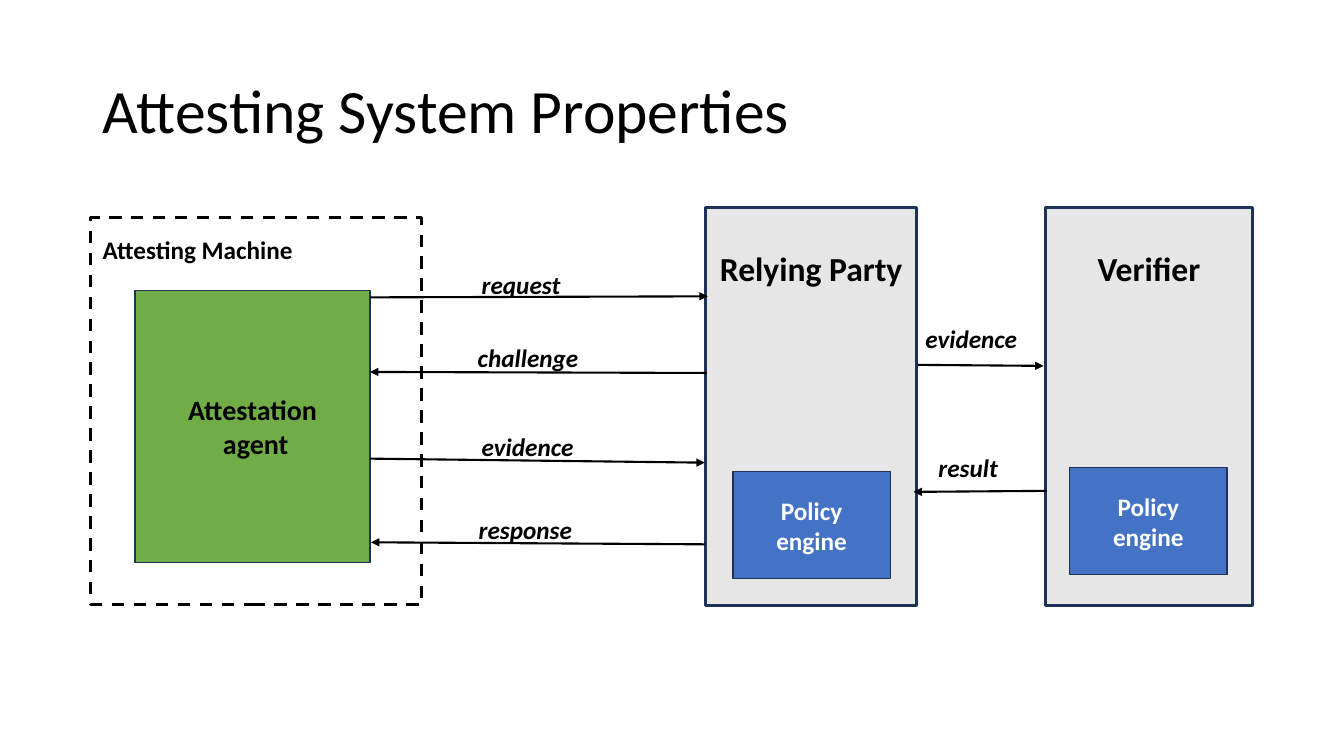
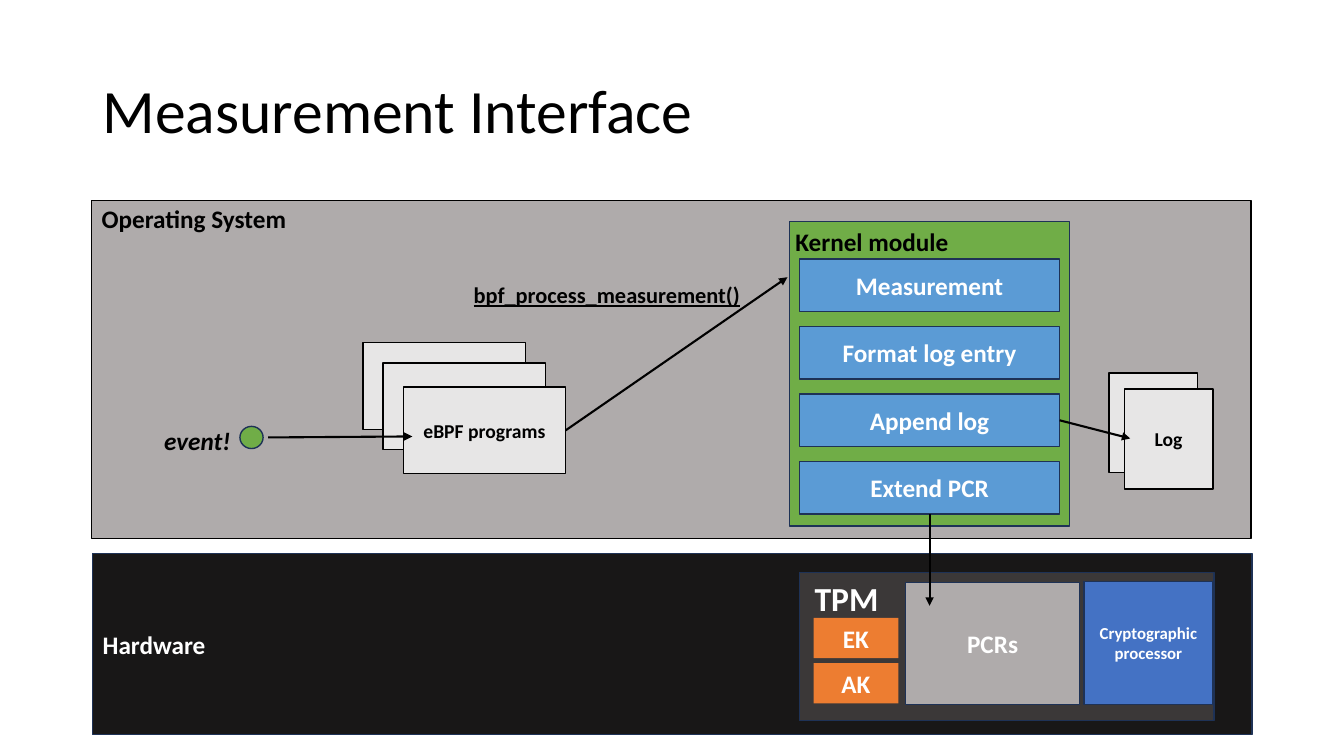
from dataclasses import dataclass
from typing import Optional

from lxml import etree
from pptx import Presentation
from pptx import util as u
from pptx.dml.color import RGBColor
from pptx.enum import dml, shapes, text
from pptx.oxml.ns import qn
from pptx.shapes.autoshape import Shape
from pptx.shapes.connector import Connector
from pptx.slide import Slide

PX = 9144  # EMU per px, 100 px to the inch
FONT = "Calibri"
RIGHT_SIDE, BOTTOM_SIDE = 3, 2

BLACK = RGBColor(0x00, 0x00, 0x00)
WHITE = RGBColor(0xFF, 0xFF, 0xFF)
NAVY = RGBColor(0x1E, 0x32, 0x56)
GREEN = RGBColor(0x70, 0xAD, 0x47)
BLUE = RGBColor(0x44, 0x72, 0xC4)
SKY = RGBColor(0x5B, 0x9B, 0xD5)
ORANGE = RGBColor(0xED, 0x7D, 0x31)
PALE = RGBColor(0xE7, 0xE6, 0xE6)
GREY = RGBColor(0xAF, 0xAB, 0xAB)
CHARCOAL = RGBColor(0x3B, 0x38, 0x38)
INK = RGBColor(0x18, 0x17, 0x17)

CENTER, LEFT = text.PP_ALIGN.CENTER, text.PP_ALIGN.LEFT
MIDDLE, TOP = text.MSO_ANCHOR.MIDDLE, text.MSO_ANCHOR.TOP
RECT, OVAL = shapes.MSO_SHAPE.RECTANGLE, shapes.MSO_SHAPE.OVAL


@dataclass(frozen=True)
class Box:
    x: int
    y: int
    w: int
    h: int
    fill: Optional[RGBColor]
    words: str = ""
    size: int = 18
    color: RGBColor = WHITE
    line: Optional[RGBColor] = NAVY
    weight: float = 1
    dashed: bool = False
    align: text.PP_ALIGN = CENTER
    top_inset: Optional[int] = None  # set: text hangs from the top edge
    kind: shapes.MSO_SHAPE = RECT


@dataclass(frozen=True)
class Label:
    x: int
    y: int
    w: int
    h: int
    words: str
    size: int = 18
    color: RGBColor = BLACK
    bold: bool = True
    italic: bool = False
    underline: bool = False
    anchor: text.MSO_ANCHOR = TOP
    spacing: float = 1.0


@dataclass(frozen=True)
class Arrow:
    x1: int
    y1: int
    x2: int
    y2: int


def px(length: int) -> u.Emu:
    return u.Emu(length * PX)


def add_box(slide: Slide, box: Box) -> Shape:
    shape = slide.shapes.add_shape(box.kind, px(box.x), px(box.y), px(box.w), px(box.h))
    shape.shadow.inherit = False
    if box.fill is None:
        shape.fill.background()
    else:
        shape.fill.solid()
        shape.fill.fore_color.rgb = box.fill
    if box.line is None:
        shape.line.fill.background()
    else:
        shape.line.color.rgb = box.line
        shape.line.width = u.Pt(box.weight)
    if box.dashed:
        shape.line.dash_style = dml.MSO_LINE.DASH
    if box.words:
        frame = shape.text_frame
        frame.text = box.words
        frame.vertical_anchor = MIDDLE if box.top_inset is None else TOP
        if box.top_inset is not None:
            frame.margin_top = px(box.top_inset)
        for paragraph in frame.paragraphs:
            paragraph.alignment = box.align
            font = paragraph.font
            font.name, font.size, font.bold = FONT, u.Pt(box.size), True
            font.color.rgb = box.color
    return shape


def add_label(slide: Slide, label: Label) -> None:
    frame = slide.shapes.add_textbox(
        px(label.x), px(label.y), px(label.w), px(label.h)).text_frame
    frame.word_wrap = True
    frame.vertical_anchor = label.anchor
    paragraph = frame.paragraphs[0]
    paragraph.text = label.words
    paragraph.alignment = LEFT
    paragraph.line_spacing = label.spacing
    font = paragraph.font
    font.name, font.size, font.bold = FONT, u.Pt(label.size), label.bold
    font.italic, font.underline = label.italic, label.underline
    font.color.rgb = label.color


def add_arrow(slide: Slide, arrow: Arrow) -> Connector:
    connector = slide.shapes.add_connector(
        shapes.MSO_CONNECTOR.STRAIGHT,
        px(arrow.x1), px(arrow.y1), px(arrow.x2), px(arrow.y2))
    connector.line.color.rgb = BLACK
    connector.line.width = u.Pt(1.5)
    etree.SubElement(connector.line._get_or_add_ln(), qn("a:tailEnd"), type="triangle")
    etree.SubElement(connector._element.spPr, qn("a:effectLst"))
    return connector


def add_titled_slide(deck: Presentation, title: str) -> Slide:
    slide = deck.slides.add_slide(deck.slide_layouts[6])
    add_label(slide, Label(92, 40, 1150, 145, title, 44, bold=False,
                           anchor=MIDDLE, spacing=0.9))
    return slide


def build_system_slide(deck: Presentation) -> None:
    slide = add_titled_slide(deck, "Attesting System Properties")
    add_box(slide, Box(134, 288, 233, 270, GREEN, "Attestation\n agent", 20, BLACK))
    add_box(slide, Box(90, 216, 328, 384, None, line=BLACK, weight=2.25, dashed=True))
    add_label(slide, Label(92, 228, 233, 40, "Attesting Machine"))
    for x, width, party in ((700, 209, "Relying Party"), (1037, 205, "Verifier")):
        add_box(slide, Box(x, 206, width, 395, PALE, party, 24, BLACK,
                           weight=2.25, top_inset=40))
    for arrow in (
        Arrow(367, 295, 702, 294),
        Arrow(701, 370, 367, 369),
        Arrow(367, 455, 699, 459),
        Arrow(699, 540, 368, 538),
        Arrow(910, 362, 1035, 363),
        Arrow(1038, 487, 906, 488),
    ):
        add_arrow(slide, arrow)
    for x, y in ((727, 468), (1061, 464)):
        add_box(slide, Box(x, y, 156, 106, BLUE, "Policy engine"))
    for x, y, message in (
        (468, 262, "request"),
        (464, 335, "challenge"),
        (468, 423, "evidence"),
        (465, 505, "response"),
        (908, 316, "evidence"),
        (921, 444, "result"),
    ):
        add_label(slide, Label(x, y, 140, 40, message, italic=True))


def add_stack(slide: Slide, corners: tuple[tuple[int, int], ...],
              w: int, h: int, words: str) -> Shape:
    """Draw overlapping sheets, back to front, and return the front one."""
    for x, y in corners[:-1]:
        add_box(slide, Box(x, y, w, h, PALE, line=BLACK))
    x, y = corners[-1]
    return add_box(slide, Box(x, y, w, h, PALE, words, 14, BLACK, line=BLACK))


def build_measurement_slide(deck: Presentation) -> None:
    slide = add_titled_slide(deck, "Measurement Interface")
    add_box(slide, Box(91, 199, 1150, 335, GREY, "Operating System", color=BLACK,
                       line=BLACK, align=LEFT, top_inset=3))
    add_box(slide, Box(92, 549, 1150, 180, INK, "Hardware", align=LEFT))

    programs = add_stack(slide, ((360, 340), (380, 360), (400, 384)),
                         161, 86, "eBPF programs")
    add_arrow(slide, Arrow(266, 434, 409, 433))
    add_box(slide, Box(238, 423, 23, 22, GREEN, kind=OVAL))
    add_label(slide, Label(153, 417, 108, 40, "event!", italic=True))
    add_arrow(slide, Arrow(563, 425, 781, 275)).begin_connect(programs, RIGHT_SIDE)
    add_label(slide, Label(460, 274, 333, 37, "bpf_process_measurement()", 16,
                           underline=True))

    add_box(slide, Box(783, 220, 278, 302, GREEN))
    add_label(slide, Label(779, 220, 184, 40, "Kernel module"))
    steps = ("Measurement", "Format log entry", "Append log", "Extend PCR")
    step_boxes = [add_box(slide, Box(793, 257 + 67 * row, 258, 52, SKY, step))
                  for row, step in enumerate(steps)]
    append_log, extend_pcr = step_boxes[2:]

    add_stack(slide, ((1100, 370), (1115, 386)), 88, 99, "Log")
    add_arrow(slide, Arrow(1051, 417, 1121, 435)).begin_connect(append_log, RIGHT_SIDE)

    add_box(slide, Box(793, 568, 411, 147, CHARCOAL))
    add_label(slide, Label(798, 568, 92, 50, "TPM", 24, WHITE))
    for row, key in enumerate(("EK", "AK")):
        add_box(slide, Box(807, 613 + 45 * row, 84, 40, ORANGE, key, line=None))
    add_box(slide, Box(898, 578, 173, 121, GREY, "PCRs"))
    add_box(slide, Box(1075, 577, 128, 122, BLUE, "Cryptographic processor", 12))
    add_arrow(slide, Arrow(922, 510, 922, 601)).begin_connect(extend_pcr, BOTTOM_SIDE)


def main() -> None:
    deck = Presentation()
    deck.slide_width, deck.slide_height = px(1333), px(750)
    build_system_slide(deck)
    build_measurement_slide(deck)
    deck.save("out.pptx")


if __name__ == "__main__":
    main()
